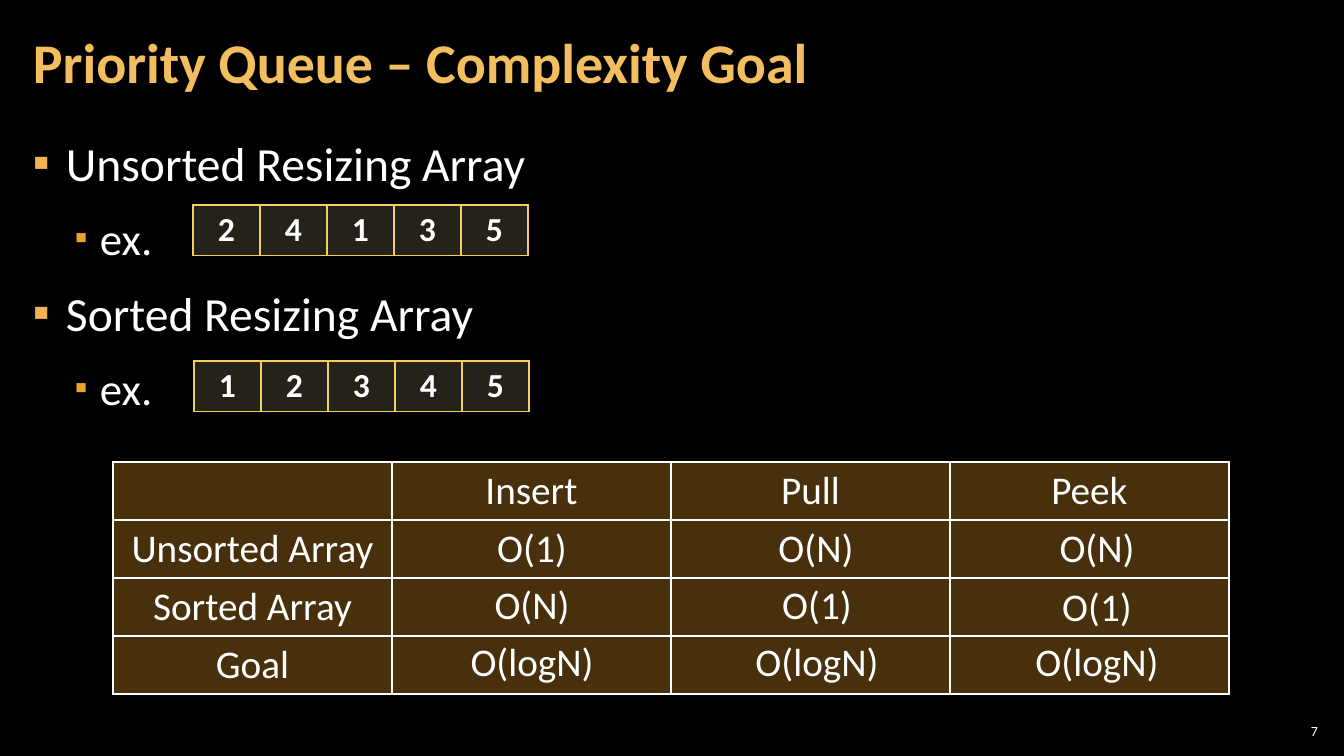
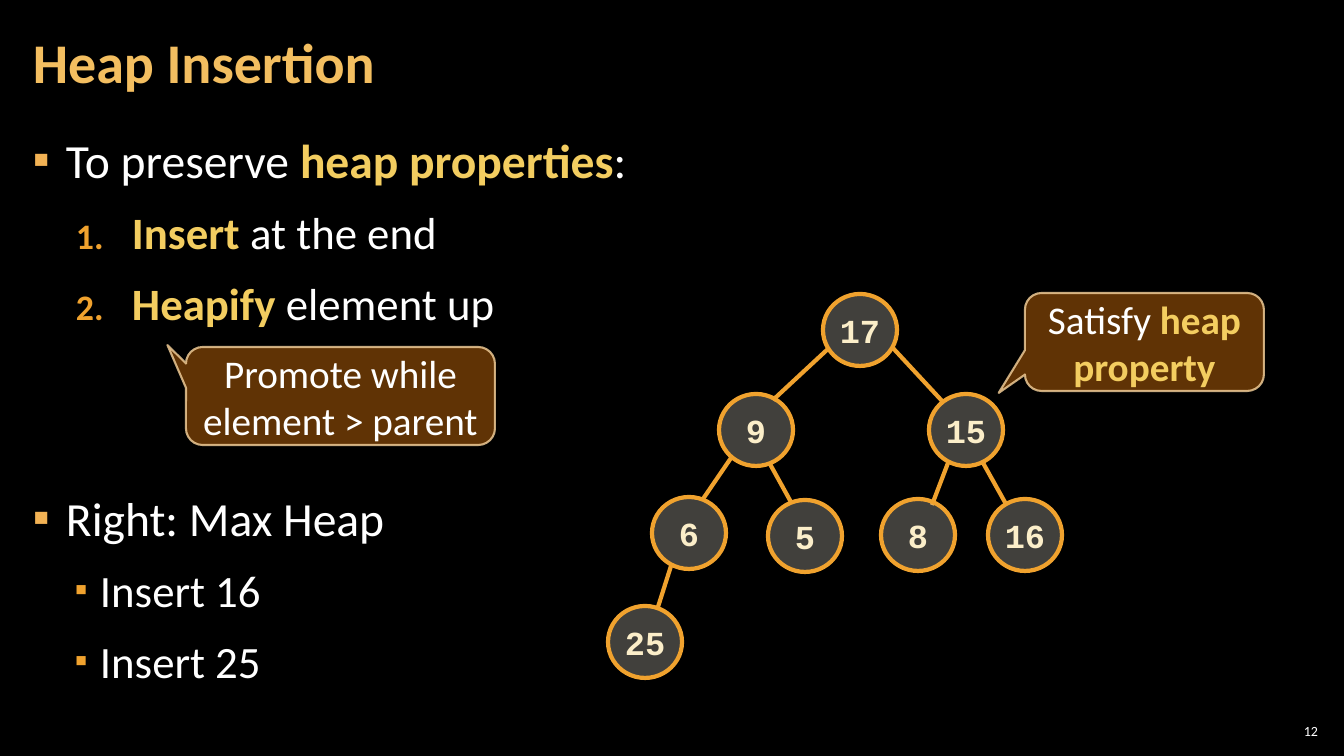
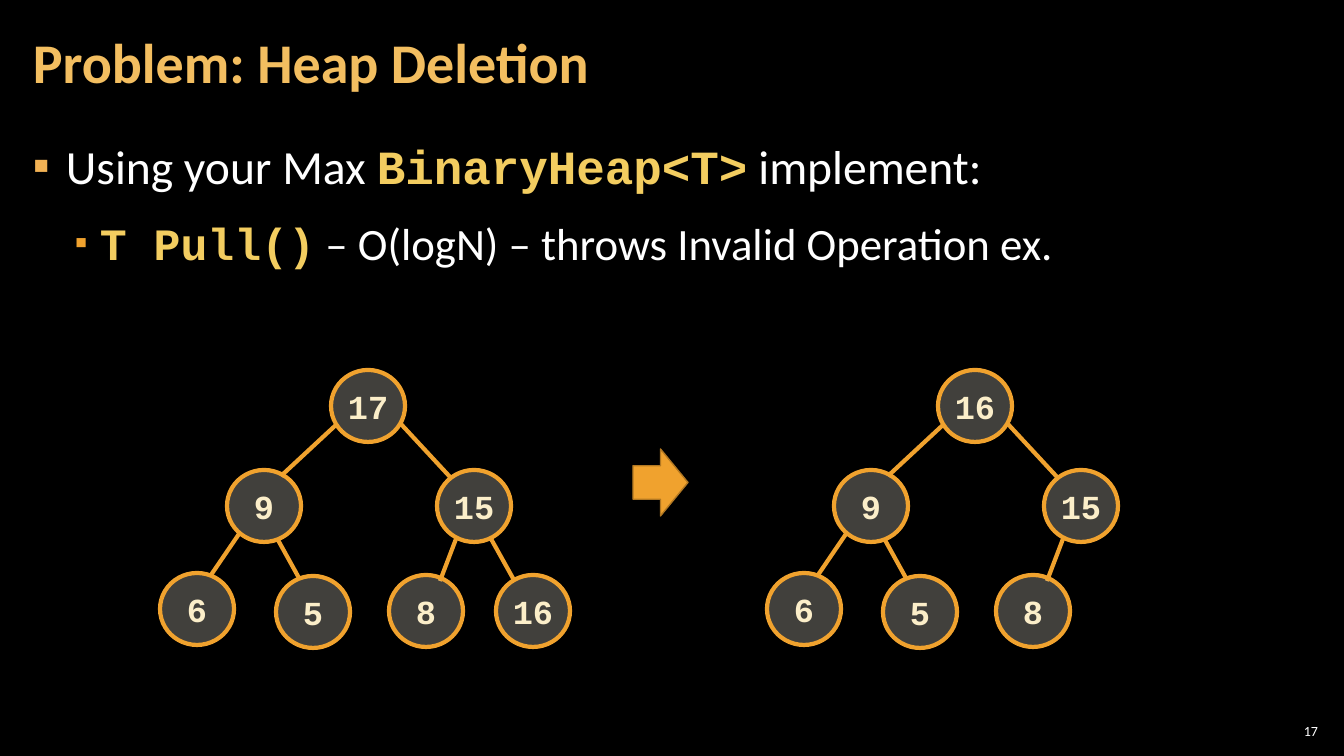
from dataclasses import dataclass

from lxml import etree
from pptx import Presentation
from pptx.dml.color import RGBColor
from pptx.enum.shapes import MSO_CONNECTOR, MSO_SHAPE
from pptx.enum.text import MSO_ANCHOR, PP_ALIGN
from pptx.oxml.ns import qn
from pptx.util import Pt

SCALE = 914400 / 100.8
LINE = MSO_CONNECTOR.STRAIGHT
OVAL = MSO_SHAPE.OVAL
ARROW = MSO_SHAPE.RIGHT_ARROW
BUBBLE = MSO_SHAPE.ROUNDED_RECTANGULAR_CALLOUT
LEFT, MID, RIGHT = PP_ALIGN.LEFT, PP_ALIGN.CENTER, PP_ALIGN.RIGHT
TOP, CENTRE = MSO_ANCHOR.TOP, MSO_ANCHOR.MIDDLE


@dataclass(frozen=True)
class Theme:
    sans: str = "Calibri"
    mono: str = "Courier New"
    back: str = "000000"
    text: str = "FFFFFF"
    title: str = "F3BE60"
    hot: str = "F3CD60"
    mark: str = "F2B254"
    amber: str = "F0A22E"
    rim: str = "B27822"
    array: str = "7C7154"
    node: str = "D9D5C7"
    label: str = "FBEEC9"
    bubble: str = "663606"
    edge: str = "F8D49E"
    head: int = 40
    main: int = 34
    sub: int = 32
    note: int = 28
    cell: int = 24
    foot: int = 10


# Level: left margin, hanging indent, colour, type size, bullet scale
LEVELS = {
    "main": (33, 33, Theme.mark, Theme.main, 100),
    "sub": (67, 25, Theme.amber, Theme.sub, 80),
    "step": (99, 56, Theme.amber, Theme.sub, 80),
}

# Heap nodes below the root: label, centre and edge, measured from the root
LIMBS = [
    ("9", (-104, 100), (-31, 18, -87, 70)),
    ("6", (-171, 203), (-129, 128, -157, 169)),
    ("5", (-55, 206), (-90, 134, -69, 172)),
    ("15", (106, 100), (32, 17, 83, 72)),
    ("8", (58, 205), (88, 133, 72, 175)),
    ("16", (165, 205), (122, 131, 146, 174)),
    ("25", (-215, 312), (-189, 236, -202, 277)),
]


def px(n):
    return round(n * SCALE)


def rgb(tone):
    return RGBColor.from_string(tone)


def fade(node, pct):
    """Give the solid fill held by an XML node an opacity in percent."""
    tone = node.find(qn("a:solidFill")).find(qn("a:srgbClr"))
    etree.SubElement(tone, qn("a:alpha")).set("val", str(pct * 1000))


class Deck:
    def __init__(self, theme):
        self.theme = theme
        self.prs = Presentation()
        self.prs.slide_width, self.prs.slide_height = px(1344), px(756)
        fill = self.prs.slide_master.background.fill
        fill.solid()
        fill.fore_color.rgb = rgb(theme.back)
        self.slide = None

    def page(self, title, number):
        t = self.theme
        self.slide = self.prs.slides.add_slide(self.prs.slide_layouts[6])
        self.text(title, (21, 4, 1055, 122), t.head, t.title, LEFT, CENTRE,
                  (12, 4), bold=True, gap=0.9)
        self.text(number, (1275, 720, 47, 21), t.foot, t.text, RIGHT, CENTRE, (4, 4))

    def style(self, run, size, tone, bold=False, face=None):
        font = run.font
        font.name, font.size, font.bold = face or self.theme.sans, Pt(size), bold
        font.color.rgb = rgb(tone)

    def runs(self, para, words, size, face=None):
        """Write words, with the parts between asterisks bold and tinted."""
        t = self.theme
        for i, part in enumerate(words.split("*")):
            if part:
                run = para.add_run()
                run.text = part
                if i % 2:
                    self.style(run, size, t.hot, True, face)
                else:
                    self.style(run, size, t.text)

    def frame(self, box, pad=(10, 5), anchor=TOP):
        frame = self.slide.shapes.add_textbox(*map(px, box)).text_frame
        frame.word_wrap, frame.vertical_anchor = True, anchor
        frame.margin_left = frame.margin_right = px(pad[0])
        frame.margin_top = frame.margin_bottom = px(pad[1])
        return frame

    def text(self, words, box, size, tone, align=MID, anchor=TOP, pad=(10, 5),
             bold=False, gap=None):
        frame = self.frame(box, pad, anchor)
        frame.text = words
        para = frame.paragraphs[0]
        para.alignment, para.line_spacing = align, gap
        self.style(para.runs[0], size, tone, bold)

    def bullet(self, para, level):
        left, hang, tone, _, scale = LEVELS[level]
        props = para._p.get_or_add_pPr()
        props.set("marL", str(px(left)))
        props.set("indent", str(-px(hang)))
        paint = etree.SubElement(props, qn("a:buClr"))
        etree.SubElement(paint, qn("a:srgbClr")).set("val", tone)
        etree.SubElement(props, qn("a:buSzPct")).set("val", str(scale * 1000))
        etree.SubElement(props, qn("a:buFont")).set("typeface", self.theme.sans)
        if level == "step":
            etree.SubElement(props, qn("a:buAutoNum")).set("type", "arabicPeriod")
        else:
            etree.SubElement(props, qn("a:buChar")).set("char", "▪")

    def body(self, items, gap=None, face=None):
        """Fill the body with (level, words[, space before]) items."""
        frame = self.frame((21, 127, 1301, 614), (12, 4))
        for i, (level, words, *lead) in enumerate(items):
            para = frame.add_paragraph() if i else frame.paragraphs[0]
            self.bullet(para, level)
            para.line_spacing, para.space_after = gap, Pt(6)
            para.space_before = Pt(lead[0] if lead else 6 if i else 0)
            self.runs(para, words, LEVELS[level][3], face)

    def border(self, cell, tone):
        props = cell._tc.get_or_add_tcPr()
        for i, side in enumerate(("lnL", "lnR", "lnT", "lnB")):
            line = etree.Element(qn("a:" + side), w=str(Pt(1)))
            paint = etree.SubElement(line, qn("a:solidFill"))
            etree.SubElement(paint, qn("a:srgbClr")).set("val", tone)
            props.insert(i, line)

    def table(self, rows, spot, wide, high, size, fill, line, bold=False):
        cols = len(rows[0])
        box = (*spot, wide * cols, high * len(rows))
        grid = self.slide.shapes.add_table(len(rows), cols, *map(px, box)).table
        grid.first_row = grid.horz_banding = False
        for col in grid.columns:
            col.width = px(wide)
        for row, words in zip(grid.rows, rows):
            row.height = px(high)
            for cell, word in zip(row.cells, words):
                cell.fill.solid()
                cell.fill.fore_color.rgb = rgb(fill)
                fade(cell._tc.tcPr, 30)
                self.border(cell, line)
                cell.text = word
                para = cell.text_frame.paragraphs[0]
                para.alignment = MID
                for run in para.runs:
                    self.style(run, size, self.theme.text, bold)

    def array(self, digits, spot):
        t = self.theme
        self.table([digits], spot, 67, 50, t.cell, t.array, t.hot, True)

    def shape(self, kind, box, fill, line, width):
        shape = self.slide.shapes.add_shape(kind, *map(px, box))
        shape.shadow.inherit = False
        shape.fill.solid()
        shape.fill.fore_color.rgb = rgb(fill)
        shape.line.color.rgb = rgb(line)
        shape.line.width = Pt(width)
        return shape

    def arrow(self, box):
        self.shape(ARROW, box, self.theme.amber, self.theme.rim, 1)

    def bubble(self, words, box, tip):
        t = self.theme
        shape = self.shape(BUBBLE, box, t.bubble, t.edge, 1.5)
        fade(shape._element.spPr, 95)
        fade(shape._element.spPr.find(qn("a:ln")), 80)
        for i, value in enumerate((*tip, 0.17)):
            shape.adjustments[i] = value
        frame = shape.text_frame
        frame.word_wrap, frame.vertical_anchor = True, CENTRE
        para = frame.paragraphs[0]
        para.alignment = MID
        self.runs(para, words, t.note)

    def node(self, label, x, y):
        t = self.theme
        shape = self.shape(OVAL, (x - 37, y - 36, 74, 72), t.node, t.amber, 3)
        fade(shape._element.spPr, 30)
        frame = shape.text_frame
        frame.word_wrap, frame.vertical_anchor = False, CENTRE
        frame.text = label
        para = frame.paragraphs[0]
        para.alignment = MID
        self.style(para.runs[0], t.cell, t.label, True, t.mono)

    def link(self, *ends):
        line = self.slide.shapes.add_connector(LINE, *map(px, ends))
        line.line.color.rgb = rgb(self.theme.amber)
        line.line.width = Pt(3)
        etree.SubElement(line._element.spPr, qn("a:effectLst"))

    def tree(self, root, x, y, limbs):
        for _, _, (x1, y1, x2, y2) in limbs:
            self.link(x + x1, y + y1, x + x2, y + y2)
        self.node(root, x, y)
        for label, (dx, dy), _ in limbs:
            self.node(label, x + dx, y + dy)


def goals(deck):
    t = deck.theme
    deck.page("Priority Queue – Complexity Goal", "7")
    deck.body([
        ("main", "Unsorted Resizing Array"), ("sub", "ex."),
        ("main", "Sorted Resizing Array"), ("sub", "ex."),
    ], gap=1.05)
    deck.array("24135", (193, 205))
    deck.array("12345", (194, 361))
    rows = [["", "Insert", "Pull", "Peek"]]
    rows += [[name, "", "", ""] for name in ("Unsorted Array", "Sorted Array", "Goal")]
    deck.table(rows, (113, 462), 279, 58, t.note, t.amber, t.text)
    costs = [
        ("O(1)", 532, 518), ("O(N)", 816, 518), ("O(N)", 1097, 518),
        ("O(N)", 532, 575), ("O(1)", 817, 575), ("O(1)", 1097, 577),
        ("O(logN)", 532, 632), ("O(logN)", 817, 632), ("O(logN)", 1097, 632),
    ]
    for cost, mid, top in costs:
        deck.text(cost, (mid - 80, top, 160, 57), t.note, t.text)


def insertion(deck):
    deck.page("Heap Insertion", "12")
    deck.body([
        ("main", "To preserve *heap properties*:"),
        ("step", "*Insert* at the end"),
        ("step", "*Heapify* element up"),
        ("main", "Right: Max Heap", 108),
        ("sub", "Insert 16"),
        ("sub", "Insert 25"),
    ])
    deck.tree("17", 860, 330, LIMBS)
    deck.bubble("Satisfy *heap property*", (1025, 293, 239, 98), (-0.61, 0.52))
    deck.bubble("Promote while element > parent", (186, 347, 309, 98), (-0.56, -0.52))


def deletion(deck):
    deck.page("Problem: Heap Deletion", "17")
    deck.body([
        ("main", "Using your Max *BinaryHeap<T>* implement:"),
        ("sub", "*T Pull()* – O(logN) – throws Invalid Operation ex."),
    ], gap=1.1, face=deck.theme.mono)
    deck.tree("17", 368, 406, LIMBS[:6])
    deck.arrow((633, 449, 55, 67))
    deck.tree("16", 975, 406, LIMBS[:5])


def main():
    deck = Deck(Theme())
    goals(deck)
    insertion(deck)
    deletion(deck)
    deck.prs.save("out.pptx")


if __name__ == "__main__":
    main()
